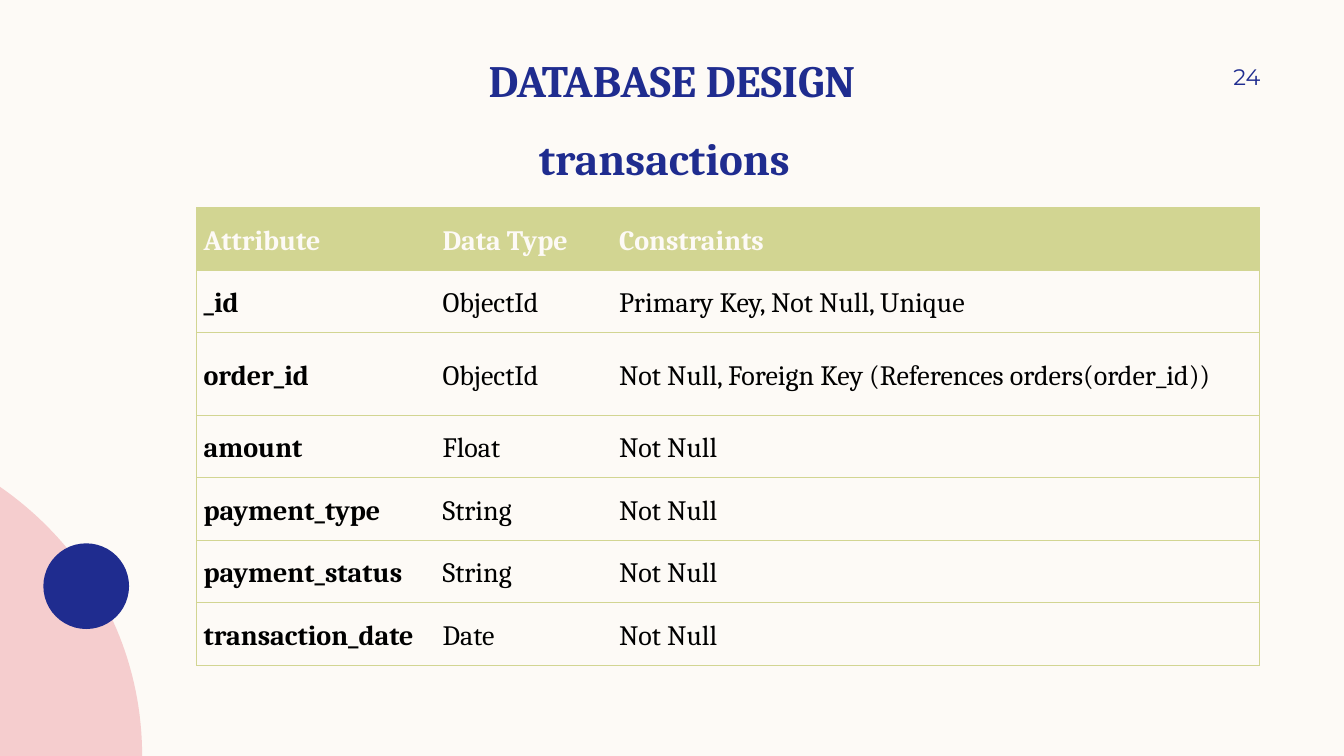
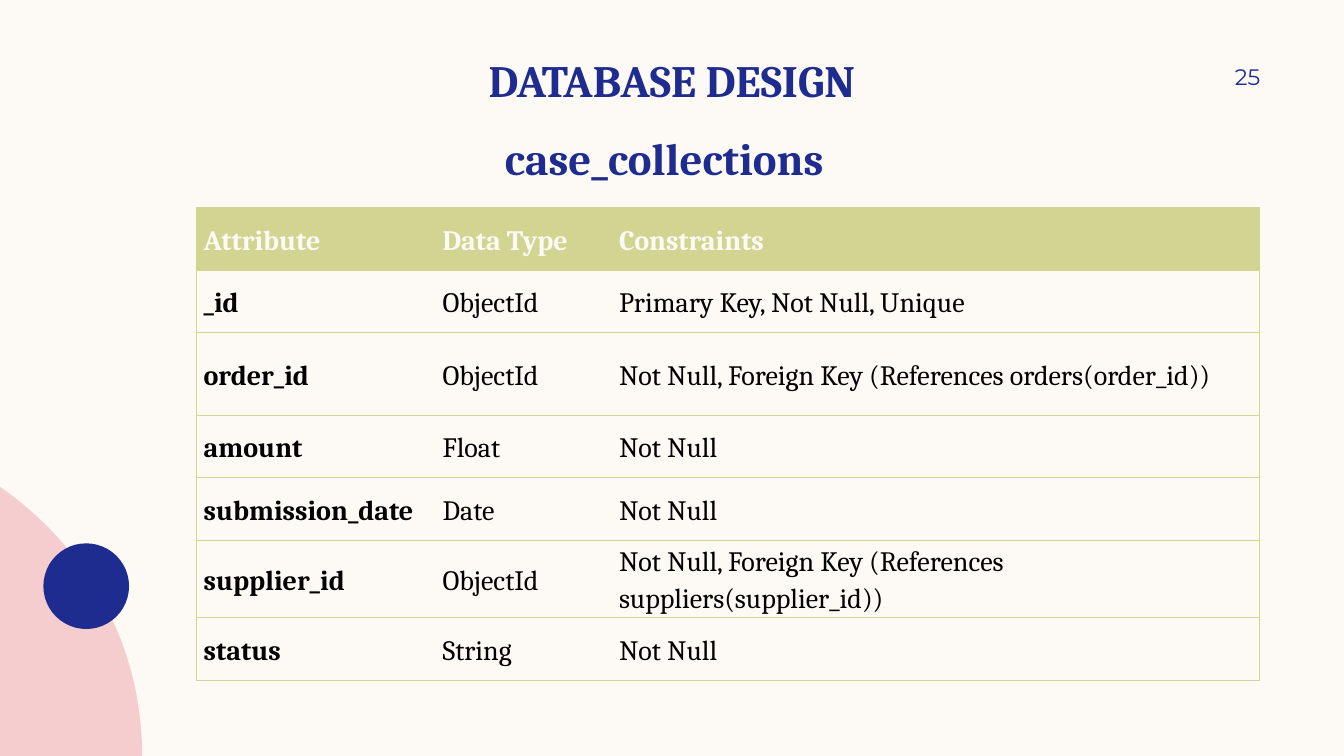
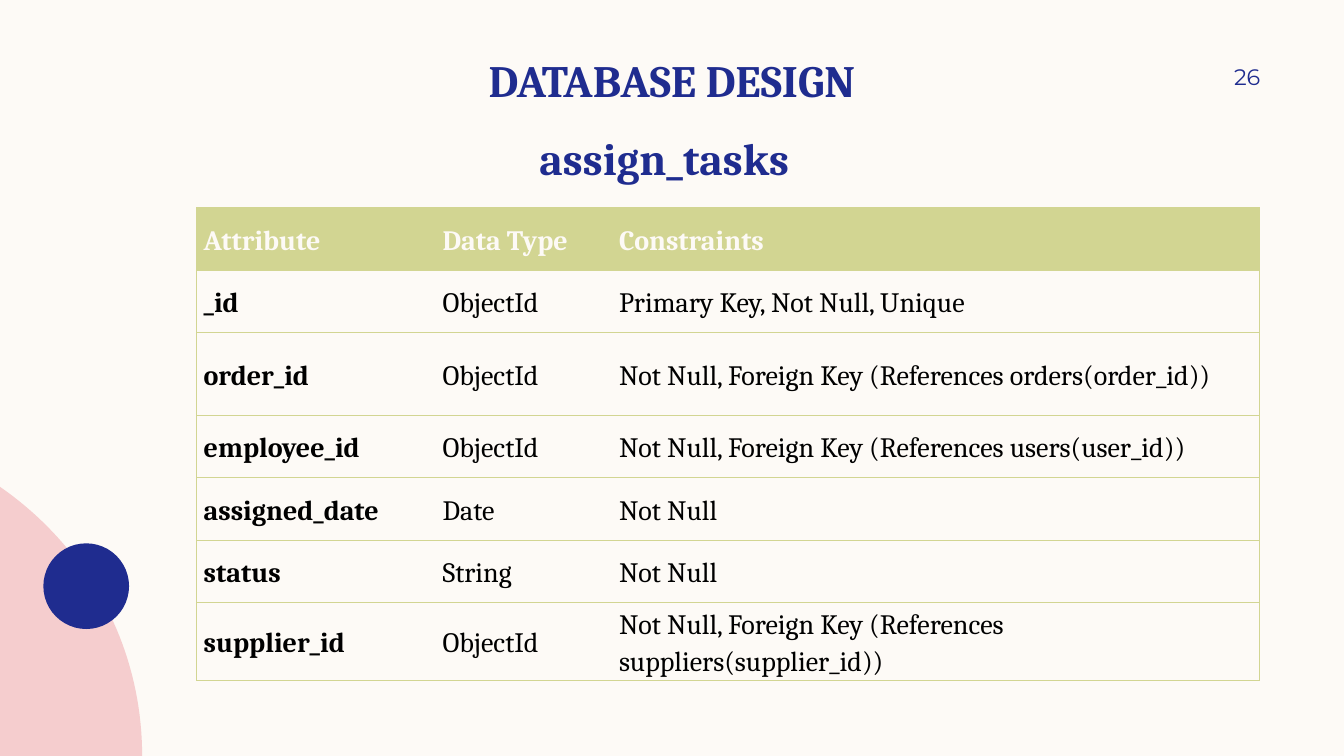
from lxml.etree import SubElement
from pptx import Presentation
from pptx.dml.color import RGBColor
from pptx.enum.shapes import MSO_SHAPE
from pptx.enum.text import MSO_ANCHOR, PP_ALIGN
from pptx.oxml.ns import qn
from pptx.util import Inches, Pt

# Shared colours, fonts and formats
CREAM = RGBColor(0xFD, 0xFA, 0xF6)
PINK = RGBColor(0xF5, 0xCD, 0xCE)
NAVY = RGBColor(0x1F, 0x2C, 0x8F)
OLIVE = RGBColor(0xD2, 0xD5, 0x92)
BLACK = RGBColor(0, 0, 0)

SLIDE_W, SLIDE_H = 13.33, 7.5
HEADING_FONT = {"name": "Cambria", "size": Pt(32), "bold": True}
NUMBER_FONT = {"name": "Montserrat", "size": Pt(16), "bold": False}
CELL_FONT = {"name": "Cambria", "size": Pt(20)}
CELL_MARGINS = {"margin_left": Inches(0.07), "margin_right": Inches(0.07),
                "margin_top": 0, "margin_bottom": 0}
CELL_SPACING = {"line_spacing": 1.15, "space_after": Pt(8)}
HEADING_FRAME = {"margin_left": Inches(0.1), "margin_right": Inches(0.1),
                 "margin_top": 0, "margin_bottom": 0}
NUMBER_FRAME = {"margin_right": 0, "vertical_anchor": MSO_ANCHOR.MIDDLE}

TITLE = "DATABASE DESIGN"
HEADER = ("Attribute", "Data Type", "Constraints")
COLUMN_WIDTHS = (2.37, 1.75, 6.42)
ROW_HEIGHTS = (0.62, 0.62, 0.82, 0.62, 0.62, 0.62, 0.62)
FIRST_PAGE = 24

# Rows that every collection starts with
KEY_ROWS = [
    ("_id", "ObjectId", "Primary Key, Not Null, Unique"),
    ("order_id", "ObjectId", "Not Null, Foreign Key (References orders(order_id))"),
]
SUPPLIER_ROW = ("supplier_id", "ObjectId",
                "Not Null, Foreign Key (References suppliers(supplier_id))")
STATUS_ROW = ("status", "String", "Not Null")
AMOUNT_ROW = ("amount", "Float", "Not Null")

COLLECTIONS = {
    "transactions": [
        AMOUNT_ROW,
        ("payment_type", "String", "Not Null"),
        ("payment_status", "String", "Not Null"),
        ("transaction_date", "Date", "Not Null"),
    ],
    "case_collections": [
        AMOUNT_ROW,
        ("submission_date", "Date", "Not Null"),
        SUPPLIER_ROW,
        STATUS_ROW,
    ],
    "assign_tasks": [
        ("employee_id", "ObjectId", "Not Null, Foreign Key (References users(user_id))"),
        ("assigned_date", "Date", "Not Null"),
        STATUS_ROW,
        SUPPLIER_ROW,
    ],
}


def apply(target, formats):
    for name, value in formats.items():
        setattr(target, name, value)


def paint(shape, color):
    shape.shadow.inherit = False
    shape.fill.solid()
    shape.fill.fore_color.rgb = color
    shape.line.fill.background()


def add_text(slide, box, text, font, frame_format, align):
    frame = slide.shapes.add_textbox(*map(Inches, box)).text_frame
    frame.word_wrap = True
    apply(frame, frame_format)
    paragraph = frame.paragraphs[0]
    paragraph.text = text
    paragraph.alignment = align
    apply(paragraph.font, font)
    paragraph.font.color.rgb = NAVY


def add_corner(slide, left, top, width, height, steps=40):
    """Pink quarter disc with a navy dot on its rim."""
    # Cubic curve from the top left to the bottom right of the box
    controls = ((0, 0), (0.6, 0.22), (1, 0.58), (1, 1))
    rim = []
    for step in range(steps + 1):
        t = step / steps
        weights = ((1 - t) ** 3, 3 * t * (1 - t) ** 2, 3 * t ** 2 * (1 - t), t ** 3)
        x, y = (sum(w * c[axis] for w, c in zip(weights, controls)) for axis in (0, 1))
        rim.append((Inches(left + x * width), Inches(top + y * height)))
    outline = slide.shapes.build_freeform(*rim[0])
    outline.add_line_segments(rim[1:] + [(Inches(left), Inches(top + height))])
    paint(outline.convert_to_shape(), PINK)
    dot_box = (left + 0.43, top + 0.56, 0.85, 0.85)
    paint(slide.shapes.add_shape(MSO_SHAPE.OVAL, *map(Inches, dot_box)), NAVY)


def set_borders(cell, sides):
    """Olive hairlines on the given sides, none on the others."""
    properties = cell._tc.get_or_add_tcPr()
    for index, side in enumerate("LRTB"):
        line = SubElement(properties, qn(f"a:ln{side}"), w=str(Pt(0.5)))
        if side in sides:
            fill = SubElement(line, qn("a:solidFill"))
            SubElement(fill, qn("a:srgbClr"), val=str(OLIVE))
        else:
            SubElement(line, qn("a:noFill"))
        properties.insert(index, line)


def fill_cell(cell, text, is_header, bold, sides):
    cell.text = text
    cell.vertical_anchor = MSO_ANCHOR.MIDDLE
    apply(cell, CELL_MARGINS)
    paragraph = cell.text_frame.paragraphs[0]
    apply(paragraph, CELL_SPACING)
    apply(paragraph.font, CELL_FONT)
    paragraph.font.bold = bold
    paragraph.font.color.rgb = CREAM if is_header else BLACK
    if is_header:
        cell.fill.solid()
        cell.fill.fore_color.rgb = OLIVE
    else:
        cell.fill.background()
    set_borders(cell, sides)


def add_attribute_table(slide, left, top, rows):
    box = (left, top, sum(COLUMN_WIDTHS), sum(ROW_HEIGHTS))
    table = slide.shapes.add_table(len(rows), len(HEADER), *map(Inches, box)).table
    table.horz_banding = False
    for column, width in zip(table.columns, COLUMN_WIDTHS):
        column.width = Inches(width)
    for row, height in zip(table.rows, ROW_HEIGHTS):
        row.height = Inches(height)
    outer_sides = ("LTB", "TB", "RTB")
    for r, values in enumerate(rows):
        for c, text in enumerate(values):
            fill_cell(table.cell(r, c), text, r == 0, r == 0 or c == 0, outer_sides[c])


def add_collection_slide(prs, page, name, rows):
    slide = prs.slides.add_slide(prs.slide_layouts[6])
    add_corner(slide, 0, 4.83, 1.41, 2.67)
    # Headings and page number
    add_text(slide, (0, 0.45, SLIDE_W, 0.61), TITLE, HEADING_FONT,
             {**HEADING_FRAME, "vertical_anchor": MSO_ANCHOR.BOTTOM}, PP_ALIGN.CENTER)
    add_text(slide, (11.33, 0.5, 1.17, 0.52), str(page), NUMBER_FONT,
             NUMBER_FRAME, PP_ALIGN.RIGHT)
    add_text(slide, (1.77, 1.3, 9.64, 0.56), name, HEADING_FONT,
             HEADING_FRAME, PP_ALIGN.CENTER)
    add_attribute_table(slide, 1.95, 2.06, [HEADER, *KEY_ROWS, *rows])


def main():
    prs = Presentation()
    prs.slide_width, prs.slide_height = Inches(SLIDE_W), Inches(SLIDE_H)
    background = prs.slide_master.background.fill
    background.solid()
    background.fore_color.rgb = CREAM
    for page, (name, rows) in enumerate(COLLECTIONS.items(), FIRST_PAGE):
        add_collection_slide(prs, page, name, rows)
    prs.save("out.pptx")


if __name__ == "__main__":
    main()
